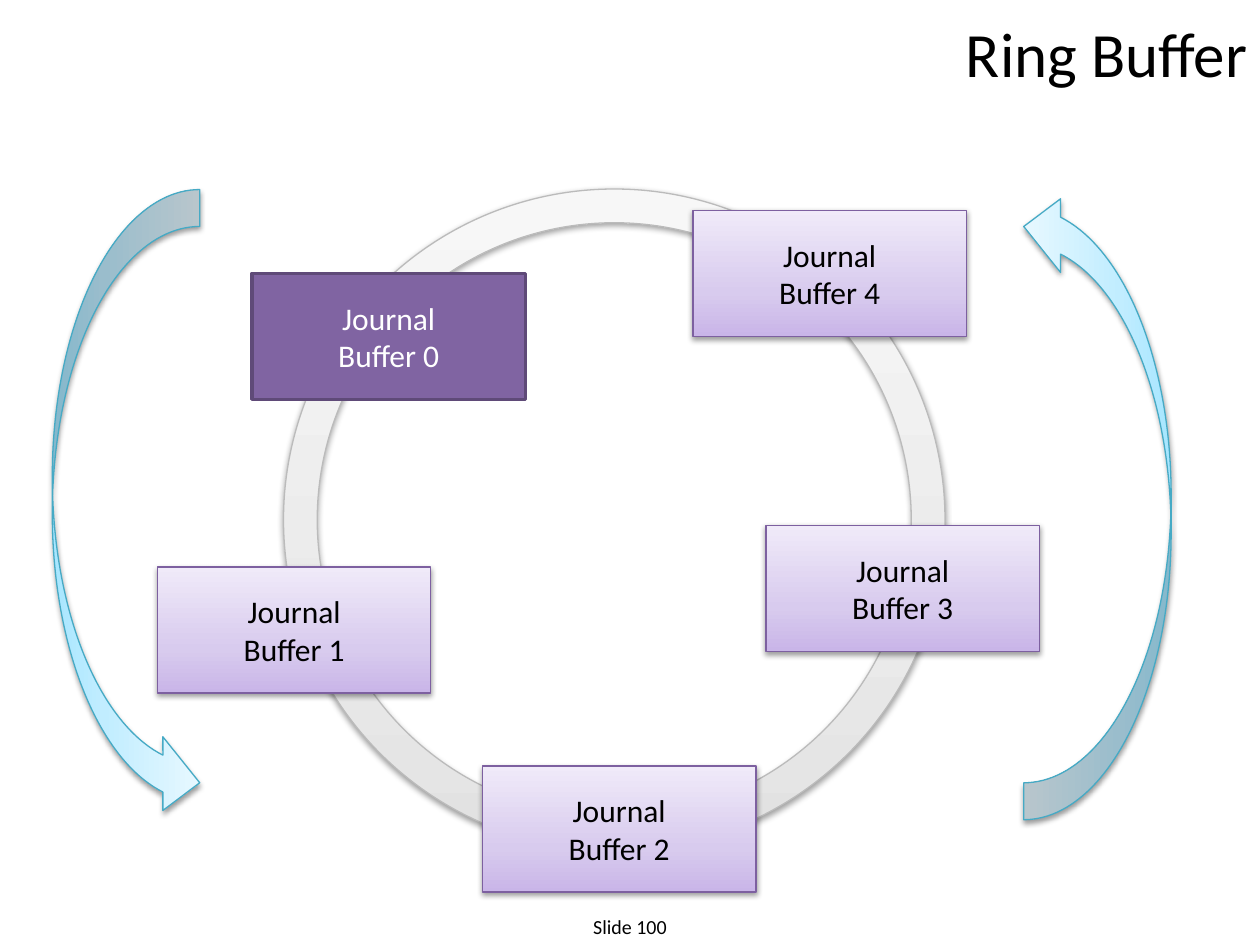
import copy

import pptx
import pptx.dml.color
import pptx.enum.shapes
import pptx.enum.text
import pptx.oxml
import pptx.oxml.ns
import pptx.util

Inches = pptx.util.Inches
Pt = pptx.util.Pt
RGB = pptx.dml.color.RGBColor
SHAPE = pptx.enum.shapes.MSO_SHAPE
ALIGN = pptx.enum.text.PP_ALIGN
MIDDLE = pptx.enum.text.MSO_ANCHOR.MIDDLE
qn = pptx.oxml.ns.qn

BLACK = RGB(0x00, 0x00, 0x00)
WHITE = RGB(0xFF, 0xFF, 0xFF)
PURPLE = RGB(0x80, 0x64, 0xA2)
DARK_PURPLE = RGB(0x5F, 0x4A, 0x78)
PURPLE_EDGE = RGB(0x7D, 0x60, 0xA0)
GREY_EDGE = RGB(0xBB, 0xBB, 0xBB)
CYAN_EDGE = RGB(0x46, 0xAA, 0xC5)
# Gradients run from bottom to top
LILACS = (RGB(0xC9, 0xB5, 0xE8), RGB(0xD8, 0xCB, 0xEE), RGB(0xF0, 0xEA, 0xF9))
GREYS = (RGB(0xE2, 0xE2, 0xE2), RGB(0xEA, 0xEA, 0xEA), RGB(0xF7, 0xF7, 0xF7))
CYANS = (RGB(0xA7, 0xE6, 0xFF), RGB(0xC1, 0xED, 0xFF), RGB(0xE7, 0xF8, 0xFF))
STOPS = (0, 0.35, 1)

SHADOW = (
    '<a:outerShdw xmlns:a="http://schemas.openxmlformats.org/drawingml/2006/main" '
    'blurRad="40000" dist="20000" dir="5400000" rotWithShape="0">'
    '<a:srgbClr val="000000"><a:alpha val="38000"/></a:srgbClr></a:outerShdw>'
)


class RingSlide:
    font_name = "Calibri"

    def __init__(self, deck):
        self.slide = deck.slides.add_slide(deck.slide_layouts[5])

    def set_text(self, frame, text, size, color=BLACK, align=ALIGN.CENTER):
        frame.text = text
        frame.word_wrap = True
        style = {"name": self.font_name, "size": Pt(size)}
        for paragraph in frame.paragraphs:
            paragraph.alignment = align
            for key, value in style.items():
                setattr(paragraph.font, key, value)
            paragraph.font.color.rgb = color

    def title(self, text, left, top, width, height):
        heading = self.slide.shapes.title
        place = {"left": left, "top": top, "width": width, "height": height}
        for key, value in place.items():
            setattr(heading, key, Inches(value))
        heading.text_frame.vertical_anchor = MIDDLE
        self.set_text(heading.text_frame, text, 36, align=ALIGN.RIGHT)

    def footer(self, text, *box):
        label = self.slide.shapes.add_textbox(*map(Inches, box))
        self.set_text(label.text_frame, text, 11.4)
        label.text_frame.paragraphs[0].line_spacing = 0.8

    def shape(self, kind, box, fill, edge, edge_width=0.75, rotation=0):
        item = self.slide.shapes.add_shape(kind, *map(Inches, box))
        item.rotation = rotation
        item.line.color.rgb = edge
        item.line.width = Pt(edge_width)
        item.shadow.inherit = False
        if isinstance(fill, RGB):
            item.fill.solid()
            item.fill.fore_color.rgb = fill
        else:
            self.shade(item, fill)
        return item

    def shade(self, item, colors):
        """Three-stop vertical gradient with a soft shadow below."""
        item.fill.gradient()
        item.fill.gradient_angle = 90
        properties = item._element.spPr
        stop_list = properties.find(qn("a:gradFill")).find(qn("a:gsLst"))
        stop_list.append(copy.deepcopy(stop_list[0]))
        for stop, position, color in zip(item.fill.gradient_stops, STOPS, colors):
            stop.position = position
            stop.color.rgb = color
        properties.find(qn("a:effectLst")).append(pptx.oxml.parse_xml(SHADOW))

    def buffer(self, number, left, top, active=False):
        look = (PURPLE, DARK_PURPLE, 2) if active else (LILACS, PURPLE_EDGE)
        box = self.shape(SHAPE.RECTANGLE, (left, top, 2.17, 1), *look)
        box.text_frame.vertical_anchor = MIDDLE
        self.set_text(box.text_frame, f"Journal\nBuffer {number}", 18,
                      WHITE if active else BLACK)

    def turn_arrow(self, left, rotation):
        self.shape(SHAPE.CURVED_UP_ARROW, (left, 3.42, 5, 1.17), CYANS,
                   CYAN_EDGE, rotation=rotation)


def main():
    deck = pptx.Presentation()
    deck.slide_width, deck.slide_height = Inches(10), Inches(7.5)
    page = RingSlide(deck)

    # Title and slide number
    page.footer("Slide 100", 4, 7.25, 2, 0.25)
    page.title("Ring Buffer", 1.42, 0, 8.58, 0.83)

    # Ring behind the buffers
    ring = page.shape(SHAPE.DONUT, (2.25, 1.5, 5.25, 5.25), GREYS, GREY_EDGE)
    ring.adjustments[0] = 0.051

    # Journal buffers, counter-clockwise; the first is the active one
    corners = [(2, 2.17), (1.25, 4.5), (3.83, 6.08), (6.08, 4.17), (5.5, 1.67)]
    for number, (left, top) in enumerate(corners):
        page.buffer(number, left, top, active=number == 0)

    # Direction of rotation
    page.turn_arrow(6.21, 270)
    page.turn_arrow(-1.5, 90)

    deck.save("out.pptx")


if __name__ == "__main__":
    main()
